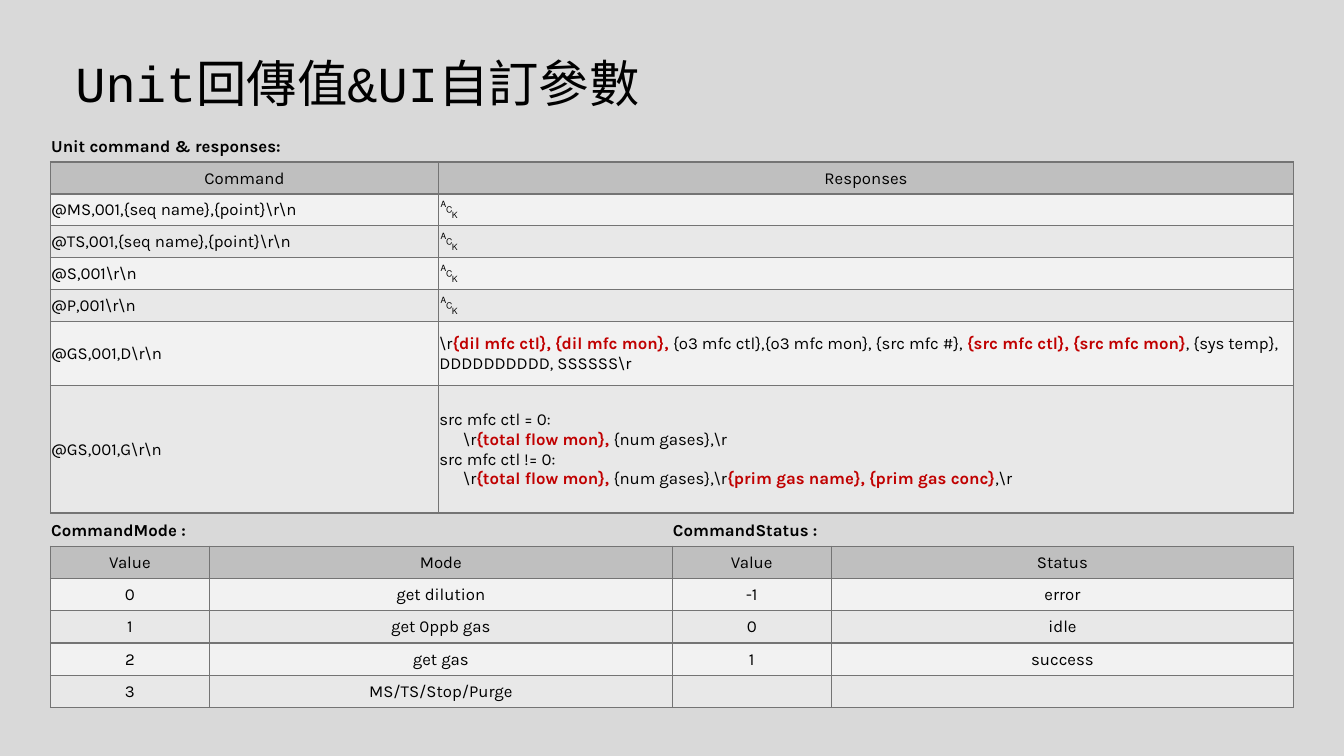
from dataclasses import dataclass

from lxml.etree import SubElement as Sub
from pptx import Presentation
from pptx.dml.color import RGBColor as Rgb
from pptx.enum.text import MSO_ANCHOR as Anchor, MSO_AUTO_SIZE as Fit, PP_ALIGN as Align
from pptx.oxml.ns import qn
from pptx.util import Cm, Pt


@dataclass(frozen=True)
class Theme:
    back: str = "D9D9D9"
    head: str = "BFBFBF"
    bands: tuple[str, str] = ("F2F2F2", "E8E8E8")
    line: str = "747474"
    ink: str = "000000"
    mark: str = "C00000"
    title_font: str = "Courier New"
    body_font: str = "Karla"
    title_size: int = 36
    body_size: int = 12
    ack_size: int = 18


@dataclass(frozen=True)
class Grid:
    top: float
    height: float
    cols: list[float]  # widths in cm
    units: list[int]  # relative row heights
    rows: list[list[str]]  # caption row, header row, body rows
    center: bool  # body text centred


THEME = Theme()
LEFT = 1.27
ACK = "␆"
UNIT = "Unit"

# Text between bars is highlighted; a leading tab indents the line
GRIDS = [
    Grid(3.28, 9.65, [9.78, 21.55], [1, 1, 1, 1, 1, 1, 2, 4], [
        [f"{UNIT} command & responses:", ""],
        ["Command", "Responses"],
        [r"@MS,001,{seq name},{point}\r\n", ACK],
        [r"@TS,001,{seq name},{point}\r\n", ACK],
        [r"@S,001\r\n", ACK],
        [r"@P,001\r\n", ACK],
        [r"@GS,001,D\r\n",
         r"\r|{dil mfc ctl}, {dil mfc mon}, |{o3 mfc ctl},{o3 mfc mon}, {src mfc #}, "
         r"|{src mfc ctl}, {src mfc mon}|, {sys temp}, DDDDDDDDDD, SSSSSS\r"],
        [r"@GS,001,G\r\n", "\n".join([
            "src mfc ctl = 0:",
            "\t" r"\r|{total flow mon}, |{num gases},\r",
            "src mfc ctl != 0:",
            "\t" r"\r|{total flow mon}, |{num gases},\r"
            r"|{prim gas name}, {prim gas conc}|,\r",
        ])],
    ], False),
    Grid(12.95, 4.88, [4.01, 11.66, 4.01, 11.65], [1] * 6, [
        ["CommandMode :", "", "CommandStatus :", ""],
        ["Value", "Mode", "Value", "Status"],
        ["0", "get dilution", "-1", "error"],
        ["1", "get 0ppb gas", "0", "idle"],
        ["2", "get gas", "1", "success"],
        ["3", "MS/TS/Stop/Purge", "", ""],
    ], True),
]


def style(font, name: str, size: int, bold: bool = False) -> None:
    font.name, font.size, font.bold = name, Pt(size), bold
    font.color.rgb = Rgb.from_string(THEME.ink)


def border(cell, sides: str) -> None:
    """Line the named sides and clear the others."""
    props = cell._tc.get_or_add_tcPr()
    for side in "LRTB":
        line = Sub(props, qn(f"a:ln{side}"), w=str(Pt(1)))
        if side in sides:
            fill = Sub(line, qn("a:solidFill"))
            Sub(fill, qn("a:srgbClr"), val=THEME.line)
        else:
            Sub(line, qn("a:noFill"))


def write(cell, text: str, bold: bool, center: bool) -> None:
    frame = cell.text_frame
    for i, line in enumerate(text.split("\n")):
        para = frame.add_paragraph() if i else frame.paragraphs[0]
        size = THEME.ack_size if text == ACK else THEME.body_size
        style(para.font, THEME.body_font, size, bold)
        para.alignment = Align.CENTER if center else Align.LEFT
        if line.startswith("\t"):
            para._p.get_or_add_pPr().set("marL", str(Cm(0.6)))
        for j, part in enumerate(line.strip("\t").split("|")):
            if not part:
                continue
            run = para.add_run()
            run.text = part
            if j % 2:
                run.font.bold = True
                run.font.color.rgb = Rgb.from_string(THEME.mark)


def draw_grid(slide, grid: Grid) -> None:
    table = slide.shapes.add_table(
        len(grid.rows), len(grid.cols), Cm(LEFT), Cm(grid.top),
        Cm(sum(grid.cols)), Cm(grid.height)).table
    table.first_row = table.horz_banding = False
    for col, width in zip(table.columns, grid.cols):
        col.width = Cm(width)
    for r, texts in enumerate(grid.rows):
        table.rows[r].height = Cm(grid.height * grid.units[r] / sum(grid.units))
        tone = (THEME.back, THEME.head)[r] if r < 2 else THEME.bands[r % 2]
        for c, text in enumerate(texts):
            cell = table.cell(r, c)
            border(cell, "LRTB" if r else "B")
            cell.fill.solid()
            cell.fill.fore_color.rgb = Rgb.from_string(tone)
            cell.vertical_anchor = Anchor.MIDDLE
            cell.margin_left = cell.margin_right = cell.margin_top = Cm(0.02)
            cell.margin_bottom = 0
            write(cell, text, r == 0, r == 1 or (r > 1 and grid.center))


def draw_title(slide, text: str) -> None:
    box = slide.shapes.add_textbox(Cm(1.65), Cm(1.19), Cm(15.72), Cm(1.8))
    frame = box.text_frame
    frame.word_wrap = False
    frame.auto_size = Fit.SHAPE_TO_FIT_TEXT
    para = frame.paragraphs[0]
    para.text = text
    style(para.font, THEME.title_font, THEME.title_size)


def main() -> None:
    deck = Presentation()
    deck.slide_width, deck.slide_height = Cm(33.87), Cm(19.05)
    slide = deck.slides.add_slide(deck.slide_layouts[6])
    slide.background.fill.solid()
    slide.background.fill.fore_color.rgb = Rgb.from_string(THEME.back)
    # Title, then both tables
    draw_title(slide, f"{UNIT}回傳值&UI自訂參數")
    for grid in GRIDS:
        draw_grid(slide, grid)
    deck.save("out.pptx")


if __name__ == "__main__":
    main()
